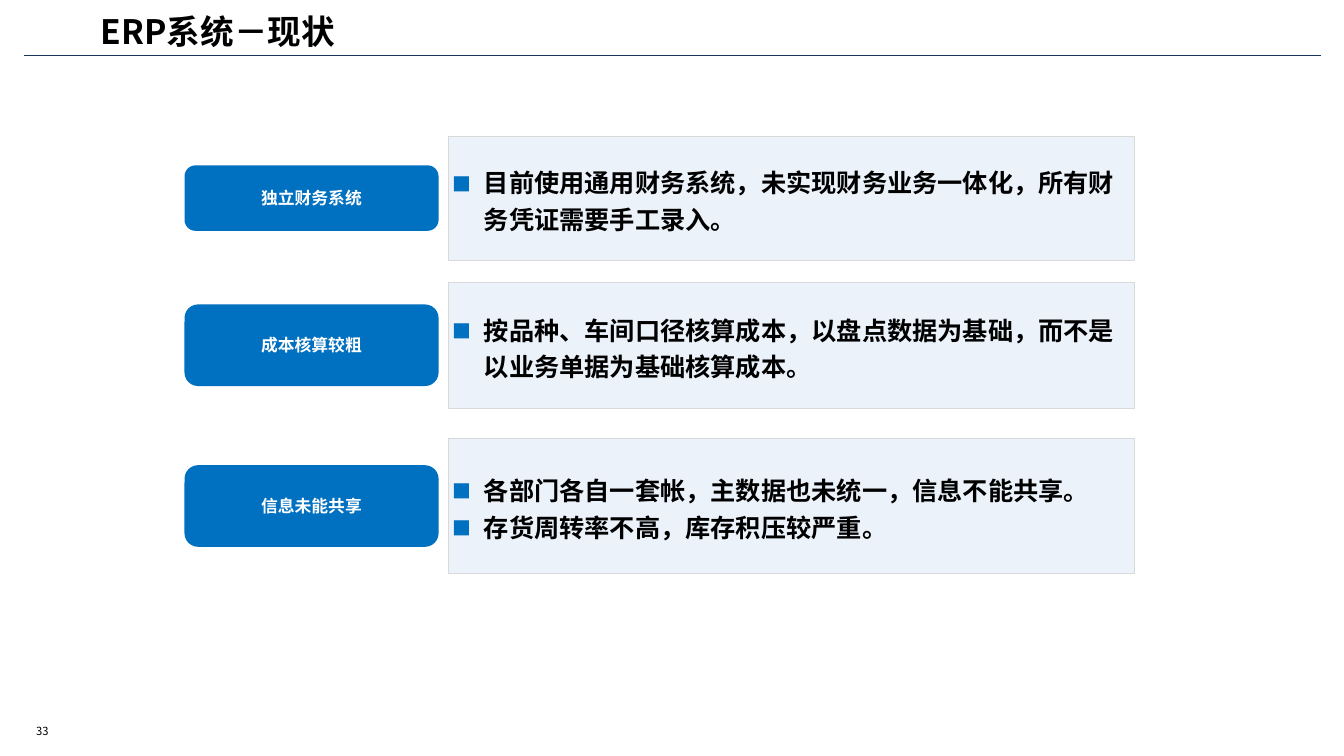
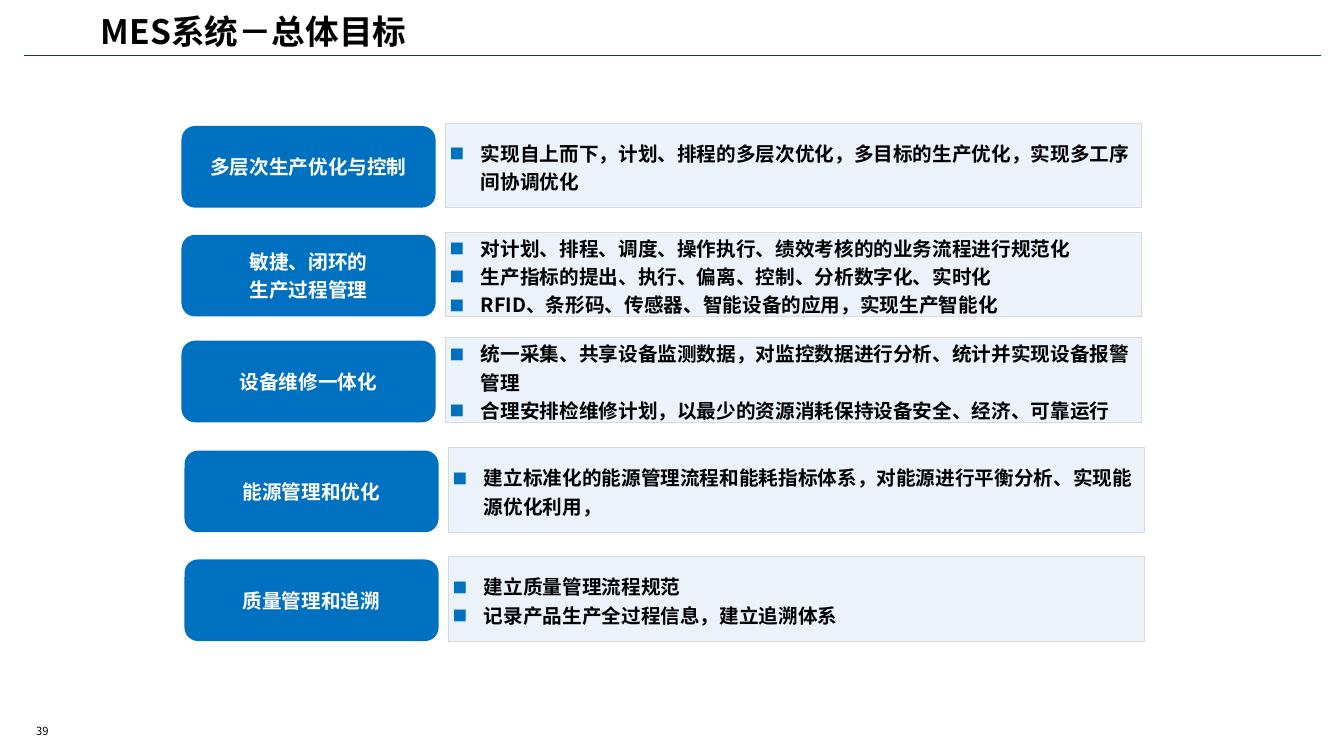
from lxml import etree
from pptx import Presentation, util as u
from pptx.dml.color import RGBColor
from pptx.enum import shapes, text
from pptx.oxml.ns import qn

PX = 9144  # 100 px to the inch
FONT = "Noto Sans CJK SC"
BLACK, WHITE, BLUE = "000000", "FFFFFF", "0070C0"
NAVY, PALE, GREY = "17375E", "DDE8F7", "D9D9D9"
PILL_W, PANEL_DX, INDENT = 252, 262, 31

# row: left, top, panel height, pill height, label lines, points
SLIDES = [
    dict(title="ERP系统－现状", num="33", label=12, body=18, width=680, drop=0.5, rows=[
        (183, 135, 123, 65, ["独立财务系统"],
         ["目前使用通用财务系统，未实现财务业务一体化，所有财务凭证需要手工录入。"]),
        (183, 280, 125, 81, ["成本核算较粗"],
         ["按品种、车间口径核算成本，以盘点数据为基础，而不是以业务单据为基础核算成本。"]),
        (183, 435, 134, 81, ["信息未能共享"],
         ["各部门各自一套帐，主数据也未统一，信息不能共享。",
          "存货周转率不高，库存积压较严重。"]),
    ]),
    dict(title="MES系统－总体目标", num="39", label=14, body=14, width=690, drop=1, rows=[
        (180, 122, 84, 81, ["多层次生产优化与控制"],
         ["实现自上而下，计划、排程的多层次优化，多目标的生产优化，实现多工序间协调优化"]),
        (180, 230, 84, 81, ["敏捷、闭环的", "生产过程管理"],
         ["对计划、排程、调度、操作执行、绩效考核的的业务流程进行规范化",
          "生产指标的提出、执行、偏离、控制、分析数字化、实时化",
          "RFID、条形码、传感器、智能设备的应用，实现生产智能化"]),
        (180, 335, 84, 81, ["设备维修一体化"],
         ["统一采集、共享设备监测数据，对监控数据进行分析、统计并实现设备报警管理",
          "合理安排检维修计划，以最少的资源消耗保持设备安全、经济、可靠运行"]),
        (183, 444, 84, 81, ["能源管理和优化"],
         ["建立标准化的能源管理流程和能耗指标体系，对能源进行平衡分析、实现能源优化利用，"]),
        (183, 552, 84, 81, ["质量管理和追溯"],
         ["建立质量管理流程规范", "记录产品生产全过程信息，建立追溯体系"]),
    ]),
]


def px(*vals):
    return [round(v * PX) for v in vals]


def rgb(code):
    return RGBColor.from_string(code)


def sub(node, tag, **attrs):
    return etree.SubElement(node, qn(tag), attrs)


def bullet(para):
    props = para._p.get_or_add_pPr()
    indent = INDENT * PX
    props.set("marL", str(indent))
    props.set("indent", str(-indent))
    sub(sub(props, "a:buClr"), "a:srgbClr", val=BLUE)
    sub(props, "a:buSzPct", val="75000")
    sub(props, "a:buFont", typeface=FONT)
    sub(props, "a:buChar", char="■")


def write(shape, lines, size, color=BLACK, bold=True, align="LEFT", anchor="MIDDLE",
          pad=(10, 5), bullets=False, spacing=None, after=None):
    frame = shape.text_frame
    frame.word_wrap = True
    frame.auto_size = text.MSO_AUTO_SIZE.NONE
    frame.vertical_anchor = getattr(text.MSO_ANCHOR, anchor)
    frame.margin_left, frame.margin_top = px(*pad)
    frame.margin_right, frame.margin_bottom = px(*pad)
    for i, line in enumerate(lines):
        para = frame.paragraphs[0] if i == 0 else frame.add_paragraph()
        if bullets:
            bullet(para)
        para.alignment = getattr(text.PP_ALIGN, align)
        if spacing:
            para.line_spacing = spacing
        if after:
            para.space_after = u.Pt(after)
        run = para.add_run()
        run.text = line
        font = run.font
        font.name, font.size, font.bold = FONT, u.Pt(size), bold
        font.color.rgb = rgb(color)
        sub(run._r.get_or_add_rPr(), "a:ea", typeface=FONT)


def block(slide, kind, box, fill, line=None, alpha=None):
    shape = slide.shapes.add_shape(getattr(shapes.MSO_SHAPE, kind), *px(*box))
    shape.shadow.inherit = False
    shape.fill.solid()
    shape.fill.fore_color.rgb = rgb(fill)
    if alpha:
        tone = shape.fill._xPr.find(qn("a:solidFill"))[0]
        sub(tone, "a:alpha", val=str(alpha * 1000))
    if line:
        shape.line.color.rgb = rgb(line)
        shape.line.width = u.Pt(0.25)
    else:
        shape.line.fill.background()
    return shape


def brand(layout, slide):
    """Give the layout its title place and header rule, drawn by way of a slide."""
    title = layout.placeholders[0]
    title.left, title.top, title.width, title.height = px(90, 6, 717, 50)
    rule = slide.shapes.add_connector(shapes.MSO_CONNECTOR.STRAIGHT, *px(24, 55, 1310, 55))
    rule.line.color.rgb = rgb(NAVY)
    rule.line.width = u.Pt(1)
    sub(rule.element.spPr, "a:effectLst")
    rule.element.nvCxnSpPr.cNvPr.set("id", "20")
    layout.shapes.element.append(rule.element)


def build(slide, page):
    write(slide.shapes.title, [page["title"]], 24, anchor="TOP")
    for left, top, high, tall, label, points in page["rows"]:
        panel = block(slide, "RECTANGLE", (left + PANEL_DX, top, page["width"], high),
                      PALE, GREY, 55)
        write(panel, points, page["body"], pad=(4, 2), bullets=True, spacing=1.2)
        pill_y = top + (high - tall) * page["drop"]
        pill = block(slide, "ROUNDED_RECTANGLE", (left, pill_y, PILL_W, tall), BLUE)
        write(pill, label, page["label"], WHITE, align="CENTER", pad=(8, 8), after=3)
    number = slide.shapes.add_textbox(*px(26, 713, 94, 24))
    write(number, [page["num"]], 8, bold=False)


def main():
    deck = Presentation()
    deck.slide_width, deck.slide_height = px(1333, 750)
    layout = deck.slide_layouts[5]
    for i, page in enumerate(SLIDES):
        slide = deck.slides.add_slide(layout)
        if i == 0:
            brand(layout, slide)
        build(slide, page)
    deck.save("out.pptx")


if __name__ == "__main__":
    main()
